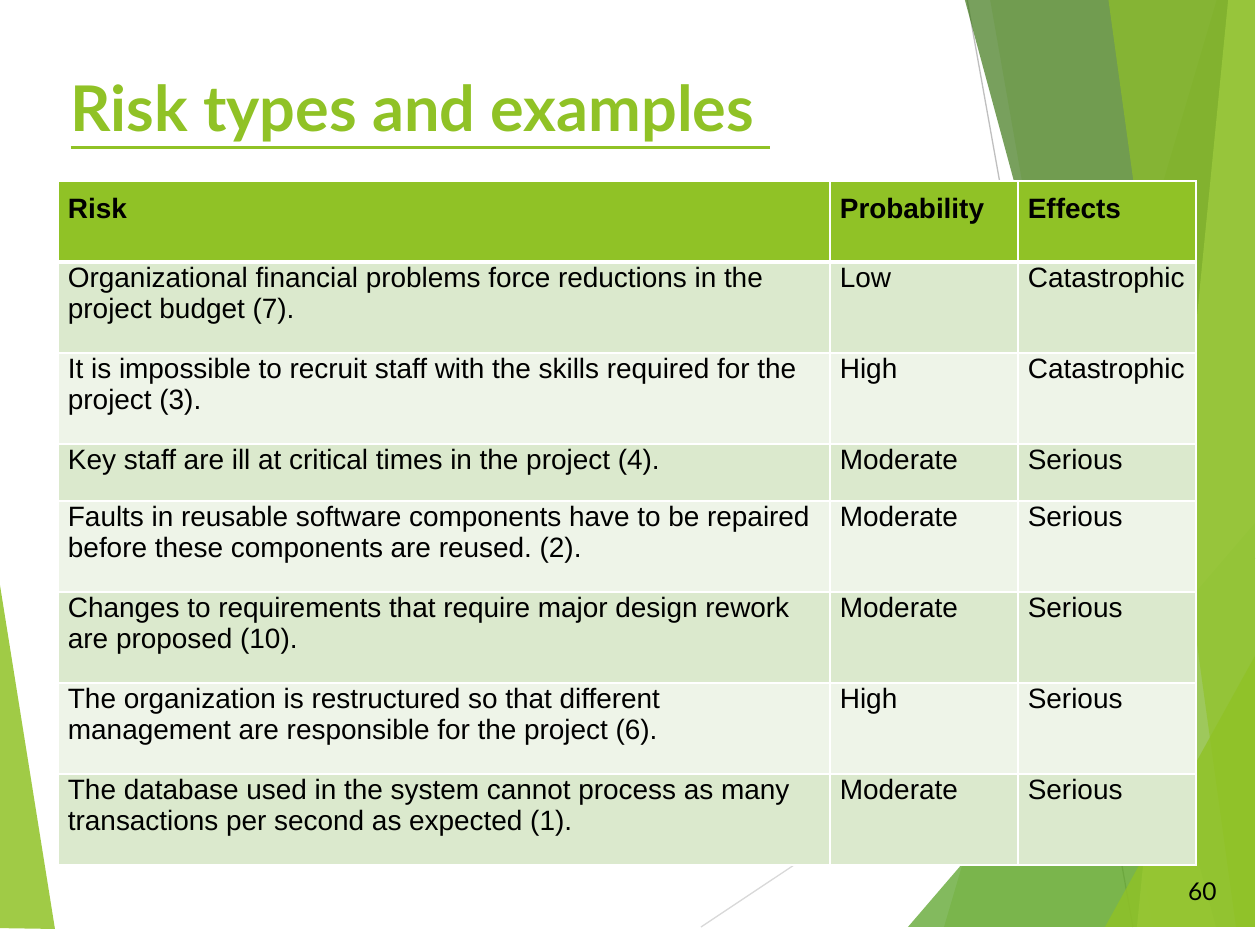
from lxml.etree import SubElement
from pptx import Presentation
from pptx.dml.color import RGBColor as RGB
from pptx.enum.shapes import MSO_CONNECTOR as LINK
from pptx.enum.text import MSO_ANCHOR as ANCHOR, MSO_AUTO_SIZE as FIT, PP_ALIGN as ALIGN
from pptx.oxml.ns import qn
from pptx.util import Emu, Pt

SCALE = 914400 / 126
BLACK = RGB(0x00, 0x00, 0x00)
WHITE = RGB(0xFF, 0xFF, 0xFF)
LIME = RGB(0x90, 0xC2, 0x26)
GREEN = RGB(0x54, 0xA0, 0x21)
DARK = RGB(0x3F, 0x78, 0x19)
PALE = RGB(0xC0, 0xE4, 0x74)
SILVER = RGB(0xD9, 0xD9, 0xD9)
GREY = RGB(0xBF, 0xBF, 0xBF)
ROWS = [RGB(0xDB, 0xE9, 0xCD), RGB(0xEE, 0xF4, 0xE8)]

RISKS = [
    ("Risk", "Probability", "Effects"),
    ("Organizational financial problems force reductions in the project budget (7).",
     "Low", "Catastrophic"),
    ("It is impossible to recruit staff with the skills required for the project (3).",
     "High", "Catastrophic"),
    ("Key staff are ill at critical times in the project (4).", "Moderate", "Serious"),
    ("Faults in reusable software components have to be repaired before these "
     "components are reused. (2).", "Moderate", "Serious"),
    ("Changes to requirements that require major design rework are proposed (10).",
     "Moderate", "Serious"),
    ("The organization is restructured so that different management are responsible "
     "for the project (6).", "High", "Serious"),
    ("The database used in the system cannot process as many transactions per second "
     "as expected (1).", "Moderate", "Serious"),
]
COLS = [772, 188, 178]
HEIGHTS = [81, 91, 91, 57, 91, 91, 91, 91]

# Left corner x and y, foot x, colour, opacity in percent
BANDS = [
    (314, 0, 36, LIME, 30),
    (79, 0, 245, LIME, 20),
    (347, 541, 0, GREEN, 72),
    (52, 0, 308, DARK, 70),
    (322, 0, 229, PALE, 70),
    (198, 0, 328, LIME, 65),
    (347, 674, 197, LIME, 80),
]


def px(n):
    return Emu(round(n * SCALE))


def place(shape, box):
    shape.left, shape.top, shape.width, shape.height = map(px, box)


def facet(slide, x, y, points, color, alpha):
    """Draw a translucent polygon, with points relative to x, y."""
    first, *rest = [(x + a, y + b) for a, b in points]
    path = slide.shapes.build_freeform(*first, scale=SCALE)
    path.add_line_segments(rest, close=True)
    shape = path.convert_to_shape()
    shape.shadow.inherit = False
    shape.line.fill.background()
    shape.fill.solid()
    shape.fill.fore_color.rgb = color
    tint = shape.fill._xPr.find(".//" + qn("a:srgbClr"))
    SubElement(tint, qn("a:alpha"), val=str(alpha * 1000))


def ray(slide, x, y, ends, color):
    """Draw a thin line, with ends relative to x, y."""
    (a, b), (c, d) = ends
    line = slide.shapes.add_connector(
        LINK.STRAIGHT, px(x + a), px(y + b), px(x + c), px(y + d))
    line.line.color.rgb = color
    line.line.width = Pt(0.75)
    SubElement(line._element.spPr, qn("a:effectLst"))


def add_wing(slide, box):
    x, y, w, h = box
    facet(slide, x, y, [(0, 0), (w, h), (0, h - 1)], LIME, 85)


def add_bands(slide, box):
    x, y, w, h = box
    ray(slide, x, y, [(-207, h), (w, 576)], SILVER)
    ray(slide, x, y, [(56, 0), (225, h)], GREY)
    for left, top, foot, color, alpha in BANDS:
        facet(slide, x, y, [(left, top), (foot, h), (w, h), (w, top)], color, alpha)


def add_title(slide, box):
    title = slide.shapes.title
    place(title, box)
    frame = title.text_frame
    frame.text = "Risk types and examples "
    frame.auto_size = FIT.NONE
    frame.vertical_anchor = ANCHOR.TOP
    par = frame.paragraphs[0]
    par.alignment = ALIGN.LEFT
    font = par.font
    font.name, font.size, font.color.rgb = "Lato", Pt(36), LIME
    font.bold = font.underline = True


def edge(cell, side, width):
    line = SubElement(cell._tc.get_or_add_tcPr(), qn("a:ln" + side), w=str(Pt(width)))
    fill = SubElement(line, qn("a:solidFill"))
    SubElement(fill, qn("a:srgbClr"), val=str(WHITE))


def fill_cell(cell, text, row):
    head = row == 0
    cell.text = text
    cell.margin_left = cell.margin_right = cell.margin_bottom = px(10)
    cell.margin_top = px(12 if head else 0)
    for side in "LRTB":
        thick = (head and side == "B") or (row == 1 and side == "T")
        edge(cell, side, 3 if thick else 1)
    cell.fill.solid()
    cell.fill.fore_color.rgb = LIME if head else ROWS[(row - 1) % 2]
    font = cell.text_frame.paragraphs[0].font
    font.name, font.size, font.bold = "Arial", Pt(16), head
    font.color.rgb = BLACK


def add_risks(slide, box):
    table = slide.shapes.add_table(len(RISKS), len(COLS), *map(px, box)).table
    for col, width in zip(table.columns, COLS):
        col.width = px(width)
    for row, height in zip(table.rows, HEIGHTS):
        row.height = px(height)
    for r, texts in enumerate(RISKS):
        for c, text in enumerate(texts):
            fill_cell(table.cell(r, c), text, r)


def add_number(slide, box):
    frame = slide.shapes.add_textbox(*map(px, box)).text_frame
    frame.word_wrap = True
    frame.vertical_anchor = ANCHOR.MIDDLE
    par = frame.paragraphs[0]
    par.text = "60"
    par.alignment = ALIGN.RIGHT
    par.font.name, par.font.size = "Lato", Pt(14)
    par.font.color.rgb = BLACK


def main():
    deck = Presentation()
    deck.slide_width, deck.slide_height = px(1260), px(945)
    slide = deck.slides.add_slide(deck.slide_layouts[5])
    add_wing(slide, (-8, 535, 63, 394))
    add_bands(slide, (908, -18, 347, 945))
    add_title(slide, (58, 62, 961, 145))
    add_risks(slide, (58, 181, sum(COLS), sum(HEIGHTS)))
    add_number(slide, (1158, 866, 71, 50))
    deck.save("out.pptx")


if __name__ == "__main__":
    main()
